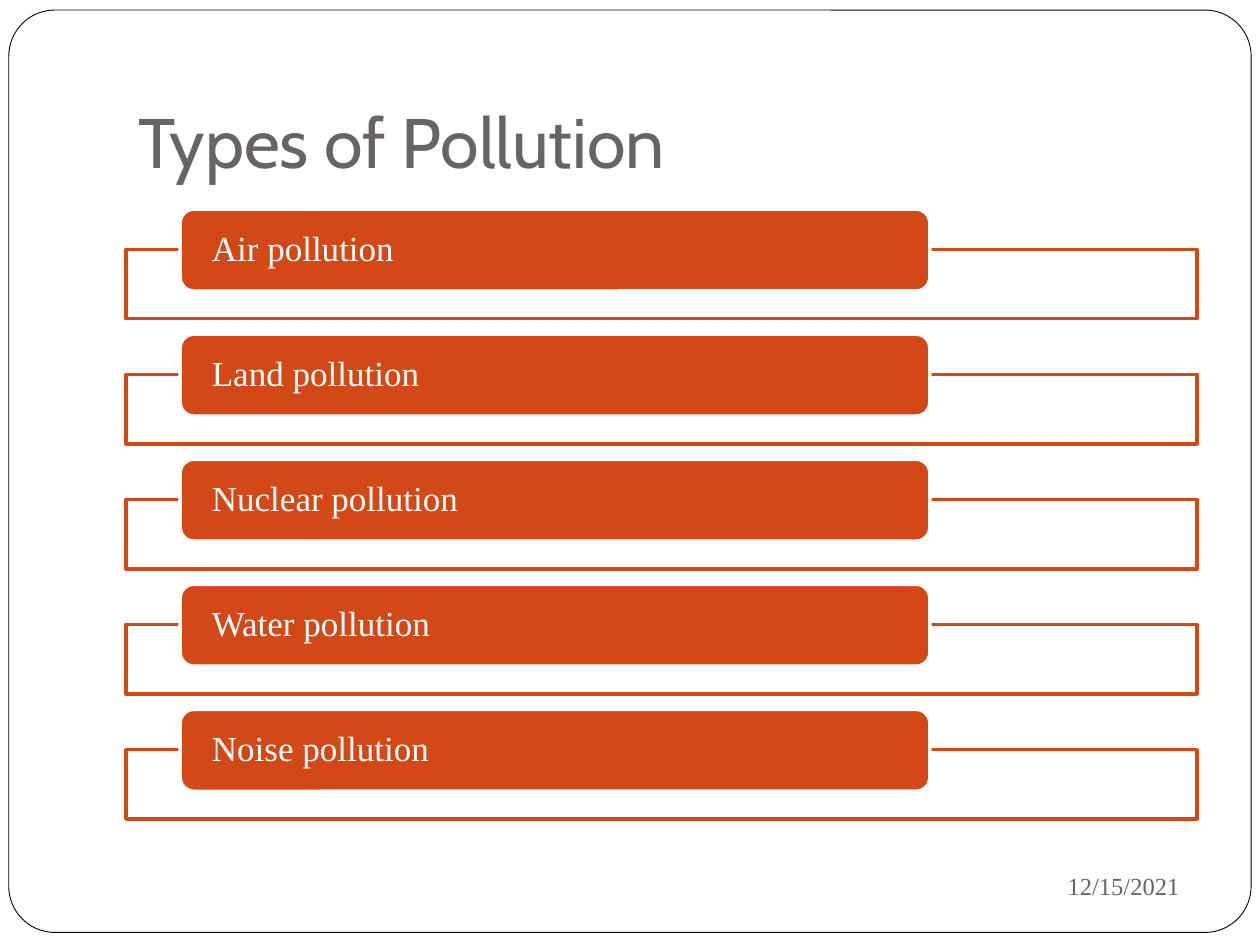
import pptx
import pptx.dml.color
import pptx.enum.shapes
import pptx.enum.text
import pptx.oxml.ns
import pptx.util
import lxml.etree
from pptx.util import Inches

WHITE = pptx.dml.color.RGBColor(0xFF, 0xFF, 0xFF)
BLACK = pptx.dml.color.RGBColor(0x00, 0x00, 0x00)
ORANGE = pptx.dml.color.RGBColor(0xD3, 0x48, 0x17)
GREY = pptx.dml.color.RGBColor(0x69, 0x64, 0x64)

SHAPE = pptx.enum.shapes.MSO_SHAPE
ANCHOR = pptx.enum.text.MSO_ANCHOR
ALIGN = pptx.enum.text.PP_ALIGN

POLLUTION_TYPES = ["Air", "Land", "Nuclear", "Water", "Noise"]
FIRST_TOP, LAST_TOP = 1.66, 5.63
ROW_STEP = (LAST_TOP - FIRST_TOP) / (len(POLLUTION_TYPES) - 1)


class SlideBuilder:
    heading_font = "Cabin"
    body_font = "Times New Roman"

    def __init__(self, slide):
        self.slide = slide

    def add_text(self, shape, text, font, size, color, anchor, align, insets):
        frame = shape.text_frame
        frame.word_wrap = True
        frame.auto_size = pptx.enum.text.MSO_AUTO_SIZE.NONE
        frame.vertical_anchor = anchor
        (frame.margin_left, frame.margin_top,
         frame.margin_right, frame.margin_bottom) = map(Inches, insets)
        paragraph = frame.paragraphs[0]
        paragraph.alignment = align
        run = paragraph.add_run()
        run.text = text
        run.font.name = font
        run.font.size = pptx.util.Pt(size)
        run.font.color.rgb = color
        return paragraph

    def title(self, text, box):
        title = self.slide.shapes.title
        title.left, title.top, title.width, title.height = map(Inches, box)
        self.add_text(title, text, self.heading_font, 40, GREY,
                      ANCHOR.BOTTOM, ALIGN.LEFT, (0.1, 0.05, 0.1, 0.1))

    def box(self, shapes, kind, box, fill, line, line_width):
        shape = shapes.add_shape(kind, *map(Inches, box))
        shape.shadow.inherit = False
        shape.fill.solid()
        shape.fill.fore_color.rgb = fill
        shape.line.color.rgb = line
        shape.line.width = pptx.util.Pt(line_width)
        return shape

    def frame(self, box):
        frame = self.box(self.slide.shapes, SHAPE.ROUNDED_RECTANGLE, box, WHITE, BLACK, 0.5)
        frame.adjustments[0] = 0.05
        # Send the frame behind the title
        self.slide.shapes._spTree.insert(2, frame._element)

    def list_row(self, group, text, top):
        panel = self.box(group.shapes, SHAPE.RECTANGLE,
                         (1, top + 0.32, 8.5, 0.55), WHITE, ORANGE, 2)
        color = panel._element.spPr.find(".//" + pptx.oxml.ns.qn("a:srgbClr"))
        lxml.etree.SubElement(color, pptx.oxml.ns.qn("a:alpha"), val="90000")

        label = self.box(group.shapes, SHAPE.ROUNDED_RECTANGLE,
                         (1.43, top, 5.95, 0.65), ORANGE, WHITE, 2)
        paragraph = self.add_text(label, text, self.body_font, 20, WHITE,
                                  ANCHOR.MIDDLE, ALIGN.LEFT, (0.22, 0, 0.22, 0))
        paragraph.line_spacing = 0.9

    def date(self, text, box):
        text_box = self.slide.shapes.add_textbox(*map(Inches, box))
        self.add_text(text_box, text, self.body_font, 14, GREY,
                      ANCHOR.MIDDLE, ALIGN.RIGHT, (0.1, 0.05, 0.1, 0.05))


def main():
    presentation = pptx.Presentation()
    presentation.slide_width = Inches(10)
    presentation.slide_height = Inches(7.5)
    slide = presentation.slides.add_slide(presentation.slide_layouts[5])
    builder = SlideBuilder(slide)

    # Frame and title
    builder.frame((0.07, 0.08, 9.86, 7.32))
    builder.title("Types of Pollution", (1, 0.3, 8.5, 1.25))

    # List of pollution types
    group = slide.shapes.add_group_shape()
    for index, name in enumerate(POLLUTION_TYPES):
        builder.list_row(group, f"{name} pollution", FIRST_TOP + index * ROW_STEP)

    # Date
    builder.date("12/15/2021", (6.75, 6.77, 2.71, 0.52))

    presentation.save("out.pptx")


if __name__ == "__main__":
    main()
